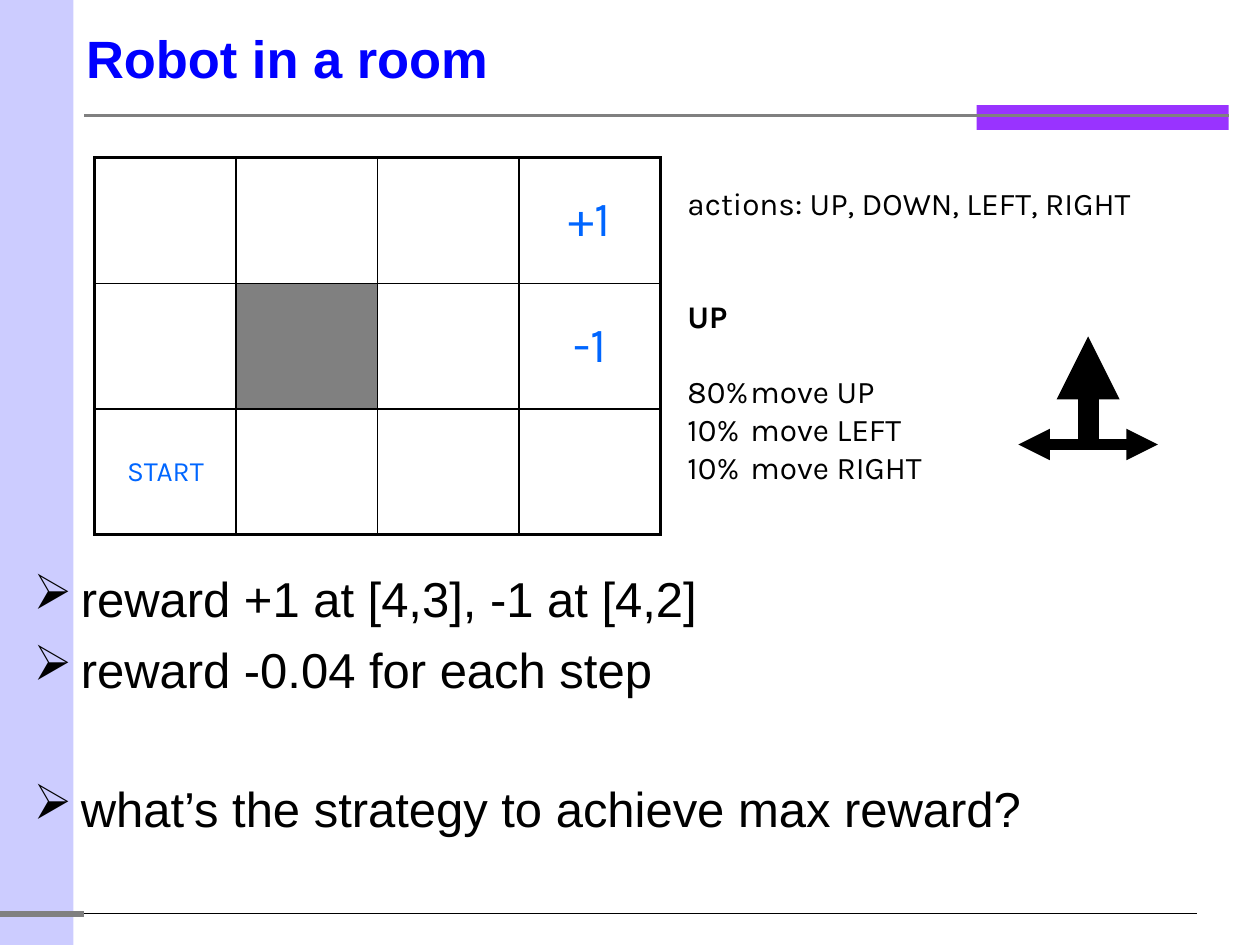
import pptx
import pptx.dml.color
import pptx.enum.shapes
import pptx.enum.text
import pptx.oxml
import pptx.oxml.ns
import pptx.util

Cm, Pt = pptx.util.Cm, pptx.util.Pt
ALIGN = pptx.enum.text.PP_ALIGN
MID = pptx.enum.text.MSO_ANCHOR.MIDDLE
HUES = {
    "title": "0000FF", "text": "000000", "mark": "0066FF", "wall": "808080",
    "rule": "808080", "band": "CCCCFF", "block": "9933FF",
}
NS = pptx.oxml.ns.nsdecls("a")


def hue(name):
    return pptx.dml.color.RGBColor.from_string(HUES[name])


def style(item, **form):
    for key, val in form.items():
        setattr(item, key, val)


def write(para, text, color, **form):
    run = para.add_run()
    run.text = text
    style(run.font, **form)
    run.font.color.rgb = hue(color)


def block(slide, box, color):
    kind = pptx.enum.shapes.MSO_SHAPE.RECTANGLE
    rect = slide.shapes.add_shape(kind, *map(Cm, box))
    rect.shadow.inherit = False
    rect.fill.solid()
    rect.fill.fore_color.rgb = hue(color)
    rect.line.fill.background()


def line(slide, start, end, color, width, head=False):
    kind = pptx.enum.shapes.MSO_CONNECTOR.STRAIGHT
    link = slide.shapes.add_connector(kind, *map(Cm, start + end))
    link.line.color.rgb = hue(color)
    link.line.width = Pt(width)
    if head:
        tip = pptx.oxml.parse_xml(f'<a:tailEnd {NS} type="triangle"/>')
        link.line._get_or_add_ln().append(tip)
    link._element.spPr.append(pptx.oxml.parse_xml(f"<a:effectLst {NS}/>"))


def text_box(slide, box):
    frame = slide.shapes.add_textbox(*map(Cm, box)).text_frame
    frame.word_wrap = True
    return frame


def add_paras(frame, items):
    """Yield a paragraph for each (text, space before, ...) item."""
    for i, item in enumerate(items):
        para = frame.paragraphs[0] if i == 0 else frame.add_paragraph()
        if i:
            para.space_before = Pt(item[1])
        yield para, item


def backdrop(slide, box):
    left, top, width, height = box
    edge = left + 1.7
    high, low = top + 2.33, top + 18.42
    block(slide, (left, top, 1.48, height), "band")
    block(slide, (left + 19.69, top + 2.12, 5.08, 0.5), "block")
    line(slide, (edge, high), (left + width - 0.63, high), "rule", 1.5)
    line(slide, (left, low), (edge, low), "rule", 3.5)
    line(slide, (edge, low), (left + width - 1.27, low), "text", 0.75)


def heading(slide, box, text):
    title = slide.shapes.title
    style(title, **dict(zip(("left", "top", "width", "height"), map(Cm, box))))
    title.text_frame.vertical_anchor = MID
    para = title.text_frame.paragraphs[0]
    para.alignment = ALIGN.LEFT
    write(para, text, "title", name="Arial", size=Pt(30), bold=True)


def border(cell, widths):
    props = cell._tc.get_or_add_tcPr()
    for i, (side, width) in enumerate(zip("LRTB", widths)):
        props.insert(i, pptx.oxml.parse_xml(
            f'<a:ln{side} {NS} w="{Pt(width)}"><a:solidFill>'
            f'<a:srgbClr val="{HUES["text"]}"/></a:solidFill></a:ln{side}>'))


def room(slide, box, rows, cols, marks, wall):
    left, top, width, height = box
    table = slide.shapes.add_table(rows, cols, *map(Cm, box)).table
    style(table, first_row=False, horz_banding=False)
    for r in range(rows):
        for c in range(cols):
            cell = table.cell(r, c)
            cell.vertical_anchor = MID
            if (r, c) == wall:
                cell.fill.solid()
                cell.fill.fore_color.rgb = hue("wall")
            else:
                cell.fill.background()
            outer = (c == 0, c == cols - 1, r == 0, r == rows - 1)
            border(cell, [2.25 if out else 1 for out in outer])
            if (r, c) in marks:
                text, size = marks[r, c]
                para = cell.text_frame.paragraphs[0]
                para.alignment = ALIGN.CENTER
                write(para, text, "mark", name="Karla", size=Pt(size))


def moves(slide, box, items):
    frame = text_box(slide, box)
    for para, (text, gap, bold) in add_paras(frame, items):
        write(para, text, "text", name="Karla", size=Pt(18), bold=bold)


def arrows(slide, box):
    left, top, width, height = box
    mid, base = left + width / 2, top + height
    line(slide, (mid, base), (mid, top), "text", 12, head=True)
    for end in (left, left + width):
        line(slide, (mid, base), (end, base), "text", 6, head=True)


def points(slide, box, items):
    frame = text_box(slide, box)
    for para, (text, gap) in add_paras(frame, items):
        props = para._p.get_or_add_pPr()
        props.set("marL", str(Cm(0.95)))
        props.set("indent", str(-Cm(0.95)))
        props.append(pptx.oxml.parse_xml(f'<a:buChar {NS} char="➢"/>'))
        write(para, text, "text", name="Arial", size=Pt(28))


def main():
    deck = pptx.Presentation()
    style(deck, slide_width=Cm(25.4), slide_height=Cm(19.05))
    slide = deck.slides.add_slide(deck.slide_layouts[5])

    # Frame and title
    backdrop(slide, (0, 0, 25.4, 19.05))
    heading(slide, (1.48, 0, 22.86, 2.33), "Robot in a room")

    # Grid world
    marks = {(0, 3): ("+1", 28), (1, 3): ("-1", 28), (2, 0): ("START", 16)}
    room(slide, (1.91, 3.18, 11.4, 7.6), 3, 4, marks, wall=(1, 1))

    # Actions and their odds
    arrows(slide, (20.53, 6.78, 2.81, 2.18))
    moves(slide, (13.61, 3.58, 10.72, 6.35), [
        ("actions: UP, DOWN, LEFT, RIGHT", 0, False),
        ("UP", 43, True),
        ("80%\tmove UP", 21.5, False),
        ("10%\tmove LEFT", 0, False),
        ("10%\tmove RIGHT", 0, False),
    ])

    # Rewards
    points(slide, (0.43, 11.33, 23.92, 6.73), [
        ("reward +1 at [4,3], -1 at [4,2]", 0),
        ("reward -0.04 for each step", 7),
        ("what’s the strategy to achieve max reward?", 46),
    ])
    deck.save("out.pptx")


if __name__ == "__main__":
    main()
